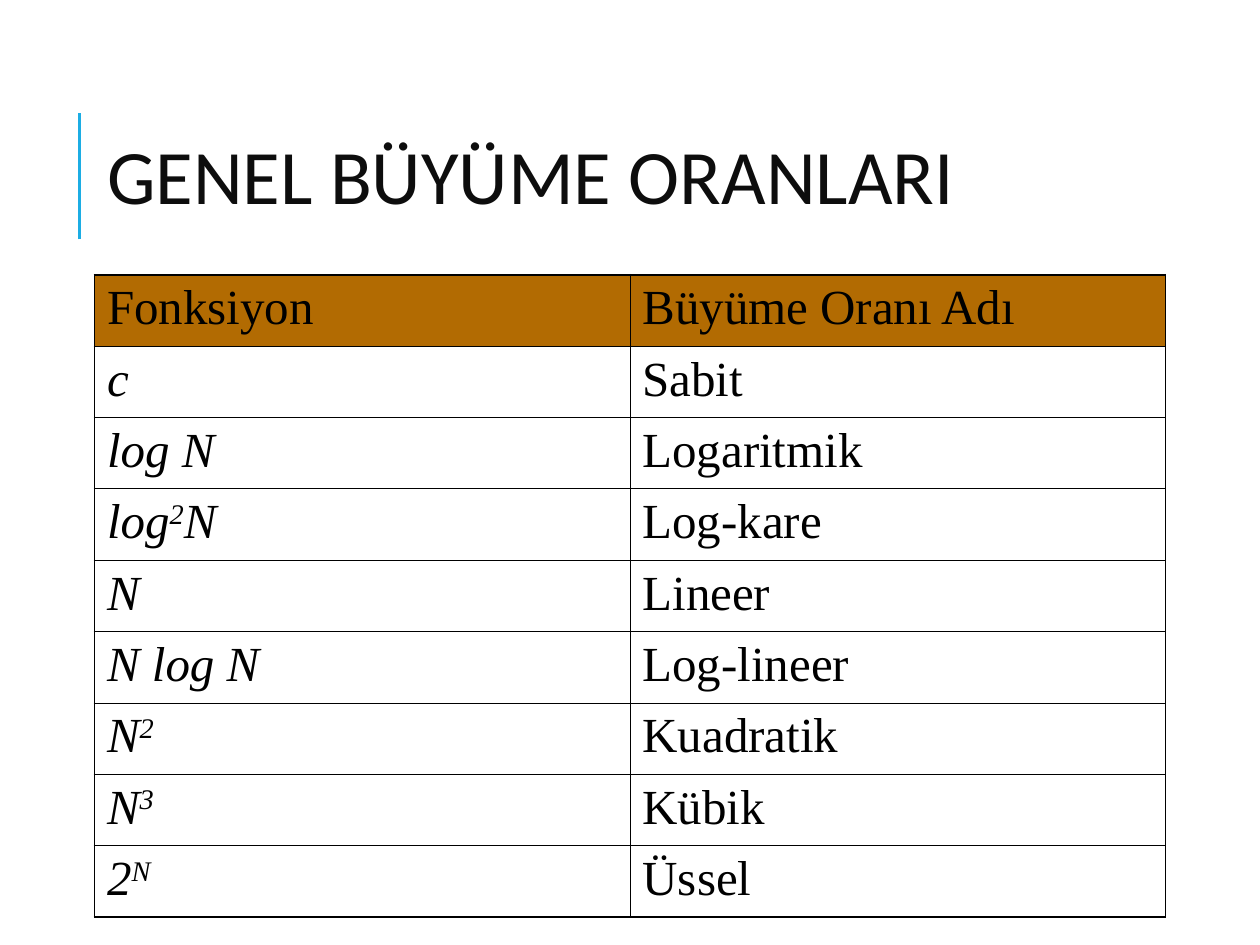
from lxml.etree import SubElement as Sub
from pptx import Presentation
from pptx.dml.color import RGBColor as RGB
from pptx.enum.shapes import MSO_CONNECTOR as Conn
from pptx.enum.text import MSO_ANCHOR as Anchor, MSO_AUTO_SIZE as Fit, PP_ALIGN as Align
from pptx.oxml.ns import qn
from pptx.util import Inches, Pt

HUES = {"rule": "1CADE4", "title": "0D0D0D", "head": "B26B02", "ink": "000000"}
THIN, THICK = 0.45, 1.08

ROWS = [
    ("Fonksiyon", "Büyüme Oranı Adı"),
    ("c", "Sabit"),
    ("log N", "Logaritmik"),
    ("log^2^N", "Log-kare"),
    ("N", "Lineer"),
    ("N log N", "Log-lineer"),
    ("N^2", "Kuadratik"),
    ("N^3", "Kübik"),
    ("2^N", "Üssel"),
]


class Deck:
    def __init__(self):
        self.prs = Presentation()
        self.prs.slide_width, self.prs.slide_height = Inches(10), Inches(7.5)
        self.slide = self.prs.slides.add_slide(self.prs.slide_layouts[5])

    def hue(self, name):
        return RGB.from_string(HUES[name])

    def run(self, para, text, size, face, hue, slant=False, base=0):
        run = para.add_run()
        run.text = text
        font = run.font
        font.size, font.name, font.italic = Pt(size), face, slant
        font.color.rgb = self.hue(hue)
        if base:
            run._r.get_or_add_rPr().set("baseline", str(base))

    def rule(self, x, top, end):
        line = self.slide.shapes.add_connector(
            Conn.STRAIGHT, Inches(x), Inches(end), Inches(x), Inches(top))
        line.line.color.rgb = self.hue("rule")
        line.line.width = Pt(1.5)
        Sub(line._element.spPr, qn("a:effectLst"))

    def title(self, text, x, y, wide, high):
        box = self.slide.shapes.title
        box.left, box.top = Inches(x), Inches(y)
        box.width, box.height = Inches(wide), Inches(high)
        frame = box.text_frame
        frame.auto_size = Fit.NONE
        frame.vertical_anchor = Anchor.MIDDLE
        para = frame.paragraphs[0]
        para.alignment, para.line_spacing = Align.LEFT, 0.8
        self.run(para, text, 44, "Calibri", "title")

    def edge(self, cell, side, width):
        line = Sub(cell._tc.get_or_add_tcPr(), qn("a:ln" + side), w=str(Pt(width)))
        Sub(Sub(line, qn("a:solidFill")), qn("a:srgbClr"), val=HUES["ink"])

    def table(self, rows, x, y, wide, high):
        last, end = len(rows) - 1, len(rows[0]) - 1
        table = self.slide.shapes.add_table(
            last + 1, end + 1, Inches(x), Inches(y), Inches(wide), Inches(high)).table
        table.first_row = table.horz_banding = False
        for i, row in enumerate(rows):
            for j, text in enumerate(row):
                cell = table.cell(i, j)
                # Outer edges are thicker than the inner grid
                outer = {"L": j == 0, "R": j == end, "T": i == 0, "B": i == last}
                for side, thick in outer.items():
                    self.edge(cell, side, THICK if thick else THIN)
                if i == 0:
                    cell.fill.solid()
                    cell.fill.fore_color.rgb = self.hue("head")
                else:
                    cell.fill.background()
                # Every second part between carets is a superscript
                para = cell.text_frame.paragraphs[0]
                for k, part in enumerate(text.split("^")):
                    self.run(para, part, 28, "Times New Roman", "ink",
                             slant=i > 0 and j == 0, base=30000 * (k % 2))


def main():
    deck = Deck()
    # Heading with its accent line
    deck.rule(0.63, 0.9, 1.9)
    deck.title("GENEL BÜYÜME ORANLARI", 0.75, 0.99, 8.5, 0.92)
    # Growth rates
    deck.table(ROWS, 0.75, 2.18, 8.5, 5.1)
    deck.prs.save("out.pptx")


if __name__ == "__main__":
    main()
